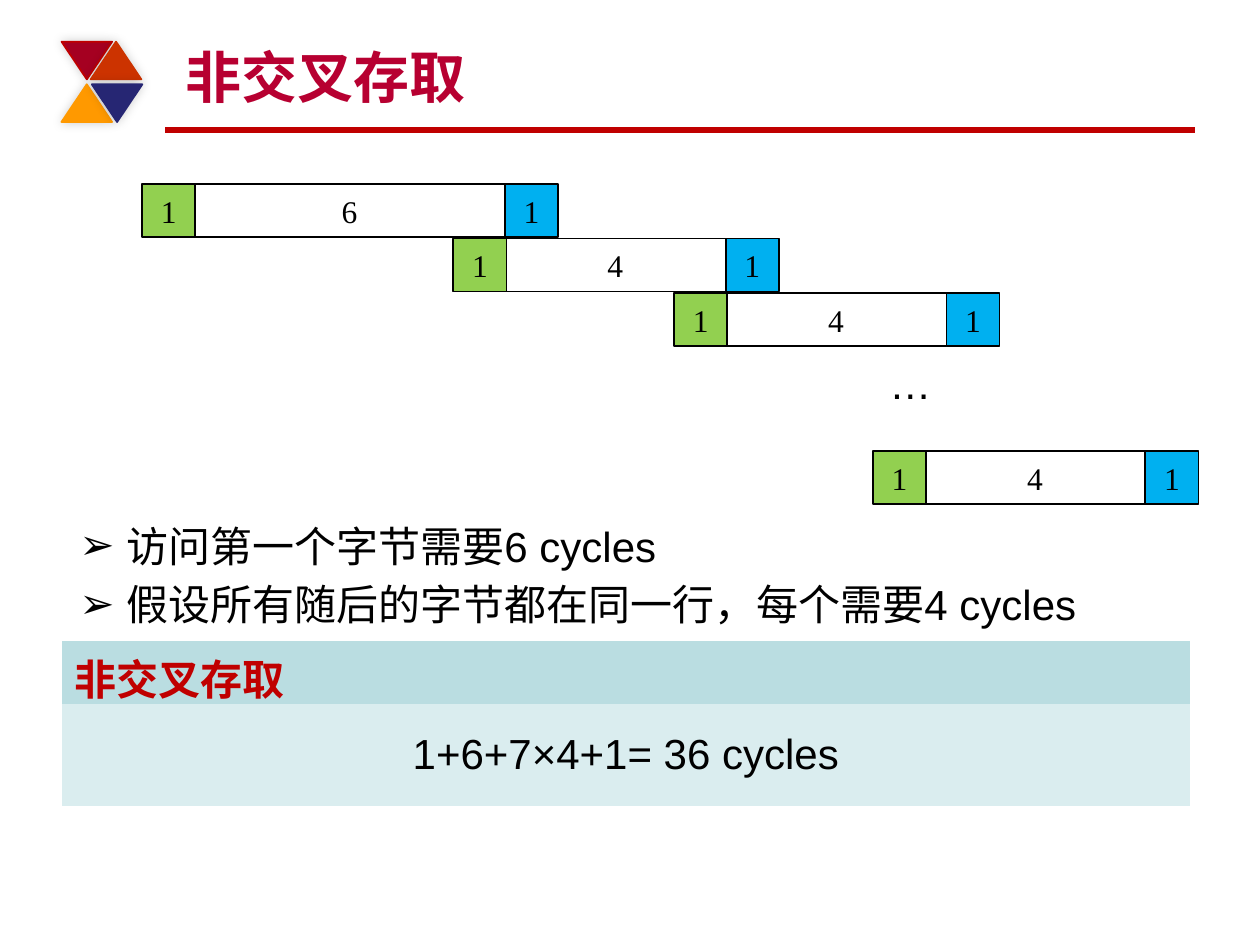
from dataclasses import dataclass

from lxml.etree import SubElement
from pptx import Presentation
from pptx.dml.color import RGBColor
from pptx.enum.shapes import MSO_CONNECTOR, MSO_SHAPE
from pptx.enum.text import MSO_ANCHOR, PP_ALIGN
from pptx.oxml.ns import qn
from pptx.util import Cm, Pt


@dataclass(frozen=True)
class Theme:
    black: str = "000000"
    white: str = "FFFFFF"
    title: str = "B70031"
    accent: str = "C00000"
    row_address: str = "92D050"
    transfer: str = "00B0F0"
    table_head: str = "BADDE1"
    table_body: str = "DAEDEF"
    sans: str = "Arial"
    serif: str = "Times New Roman"
    title_size: int = 32
    body_size: int = 24
    block_size: int = 18


@dataclass(frozen=True)
class Triangle:
    left: float
    top: float
    fill: str
    line: str
    rotation: int = 0


@dataclass(frozen=True)
class Access:
    left: float
    top: float
    cycles: int
    width: float


THEME = Theme()
SIDE = 1.07
STEP = 1.04  # neighbouring blocks overlap slightly
ROW_PITCH = 1.1
WIDTHS = {6: 6.27, 4: 4.45}
NO_GRID_STYLE = "{2D5ABB26-0587-4C30-8999-92F81FD0307C}"

TRIANGLES = [
    Triangle(1.24, 0.84, "A50021", THEME.accent, 180),
    Triangle(1.83, 0.84, "CC3300", "CC3300"),
    Triangle(1.24, 1.7, "FF9900", "FF9900"),
    Triangle(1.85, 1.7, "262673", "262673", 180),
]
BULLETS = [
    "访问第一个字节需要6 cycles",
    "假设所有随后的字节都在同一行，每个需要4 cycles",
]


def rgb(value: str) -> RGBColor:
    return RGBColor.from_string(value)


def write(p, text: str, *, size=THEME.body_size, font=THEME.sans,
          color=THEME.black, bold=False, align=PP_ALIGN.LEFT) -> None:
    p.alignment = align
    r = p.add_run()
    r.text = text
    r.font.size = Pt(size)
    r.font.name = font
    r.font.bold = bold
    r.font.color.rgb = rgb(color)


def add_preset(slide, kind, left: float, top: float, width: float,
               height: float, fill: str, line: str):
    sp = slide.shapes.add_shape(kind, Cm(left), Cm(top), Cm(width), Cm(height))
    sp.shadow.inherit = False
    sp.fill.solid()
    sp.fill.fore_color.rgb = rgb(fill)
    sp.line.color.rgb = rgb(line)
    sp.line.width = Pt(1)
    return sp


def add_triangle(slide, t: Triangle) -> None:
    sp = add_preset(slide, MSO_SHAPE.ISOSCELES_TRIANGLE, t.left, t.top,
                    1.02, 0.76, t.fill, t.line)
    sp.rotation = t.rotation
    effects = sp._element.spPr.find(qn("a:effectLst"))
    shadow = SubElement(effects, qn("a:outerShdw"), blurRad=str(Pt(6)),
                        dist="0", dir="18900000")
    color = SubElement(shadow, qn("a:srgbClr"), val=THEME.black)
    SubElement(color, qn("a:alpha"), val="20000")


def add_block(slide, left: float, top: float, width: float,
              label: str, fill: str) -> None:
    sp = add_preset(slide, MSO_SHAPE.RECTANGLE, left, top, width, SIDE,
                    fill, THEME.black)
    tf = sp.text_frame
    tf.vertical_anchor = MSO_ANCHOR.MIDDLE
    write(tf.paragraphs[0], label, size=THEME.block_size, font=THEME.serif,
          align=PP_ALIGN.CENTER)


def add_access(slide, a: Access) -> None:
    """Draw one memory access: address, wait and transfer blocks."""
    middle = a.left + STEP
    add_block(slide, middle, a.top, a.width, str(a.cycles), THEME.white)
    add_block(slide, a.left, a.top, SIDE, "1", THEME.row_address)
    add_block(slide, middle + a.width, a.top, SIDE, "1", THEME.transfer)


def access_rows() -> list[Access]:
    """Start each access where the previous wait ends; the last follows a gap."""
    rows = []
    left = 2.87
    for i, cycles in enumerate((6, 4, 4)):
        rows.append(Access(left, 3.71 + i * ROW_PITCH, cycles, WIDTHS[cycles]))
        left += WIDTHS[cycles]
    rows.append(Access(17.6, 9.09, 4, WIDTHS[4]))
    return rows


def add_rule(slide) -> None:
    rule = slide.shapes.add_connector(MSO_CONNECTOR.STRAIGHT, Cm(3.33), Cm(2.62),
                                      Cm(24.08), Cm(2.62))
    rule.line.color.rgb = rgb(THEME.accent)
    rule.line.width = Pt(3)
    SubElement(rule._element.spPr, qn("a:effectLst"))


def format_title(slide) -> None:
    title = slide.shapes.title
    title.left, title.top = Cm(3.48), Cm(0.64)
    title.width, title.height = Cm(20.32), Cm(1.7)
    tf = title.text_frame
    tf.vertical_anchor = MSO_ANCHOR.BOTTOM
    write(tf.paragraphs[0], "非交叉存取", size=THEME.title_size,
          color=THEME.title, bold=True)


def add_text_box(slide, left: float, top: float, width: float,
                 height: float, wrap: bool):
    tf = slide.shapes.add_textbox(Cm(left), Cm(top), Cm(width),
                                  Cm(height)).text_frame
    tf.word_wrap = wrap
    return tf


def add_bullets(slide) -> None:
    tf = add_text_box(slide, 1.35, 10.36, 22.73, 4.45, True)
    for i, text in enumerate(BULLETS):
        p = tf.add_paragraph() if i else tf.paragraphs[0]
        pPr = p._p.get_or_add_pPr()
        pPr.set("marL", str(Cm(0.95)))
        pPr.set("indent", str(-Cm(0.95)))
        SubElement(pPr, qn("a:buFont"), typeface=THEME.sans)
        SubElement(pPr, qn("a:buChar"), char="➢")
        if i:
            p.space_before = Pt(4.8)
        write(p, text)


def add_result_table(slide) -> None:
    table = slide.shapes.add_table(2, 1, Cm(1.25), Cm(12.92), Cm(22.73),
                                   Cm(3.33)).table
    table._tbl.tblPr.find(qn("a:tableStyleId")).text = NO_GRID_STYLE
    table.first_row = table.horz_banding = False
    rows = [
        (1.27, "非交叉存取", THEME.table_head,
         dict(color=THEME.accent, bold=True)),
        (2.06, "1+6+7×4+1= 36 cycles", THEME.table_body,
         dict(align=PP_ALIGN.CENTER)),
    ]
    for i, (height, text, fill, style) in enumerate(rows):
        table.rows[i].height = Cm(height)
        cell = table.cell(i, 0)
        cell.vertical_anchor = MSO_ANCHOR.MIDDLE
        cell.fill.solid()
        cell.fill.fore_color.rgb = rgb(fill)
        write(cell.text_frame.paragraphs[0], text, **style)


def main() -> None:
    prs = Presentation()
    prs.slide_width, prs.slide_height = Cm(25.4), Cm(19.05)
    slide = prs.slides.add_slide(prs.slide_layouts[5])
    add_rule(slide)
    for triangle in TRIANGLES:
        add_triangle(slide, triangle)
    format_title(slide)
    add_bullets(slide)
    for access in access_rows():
        add_access(slide, access)
    write(add_text_box(slide, 17.68, 7.09, 1.37, 1.27, False).paragraphs[0], "…")
    add_result_table(slide)
    prs.save("out.pptx")


if __name__ == "__main__":
    main()
